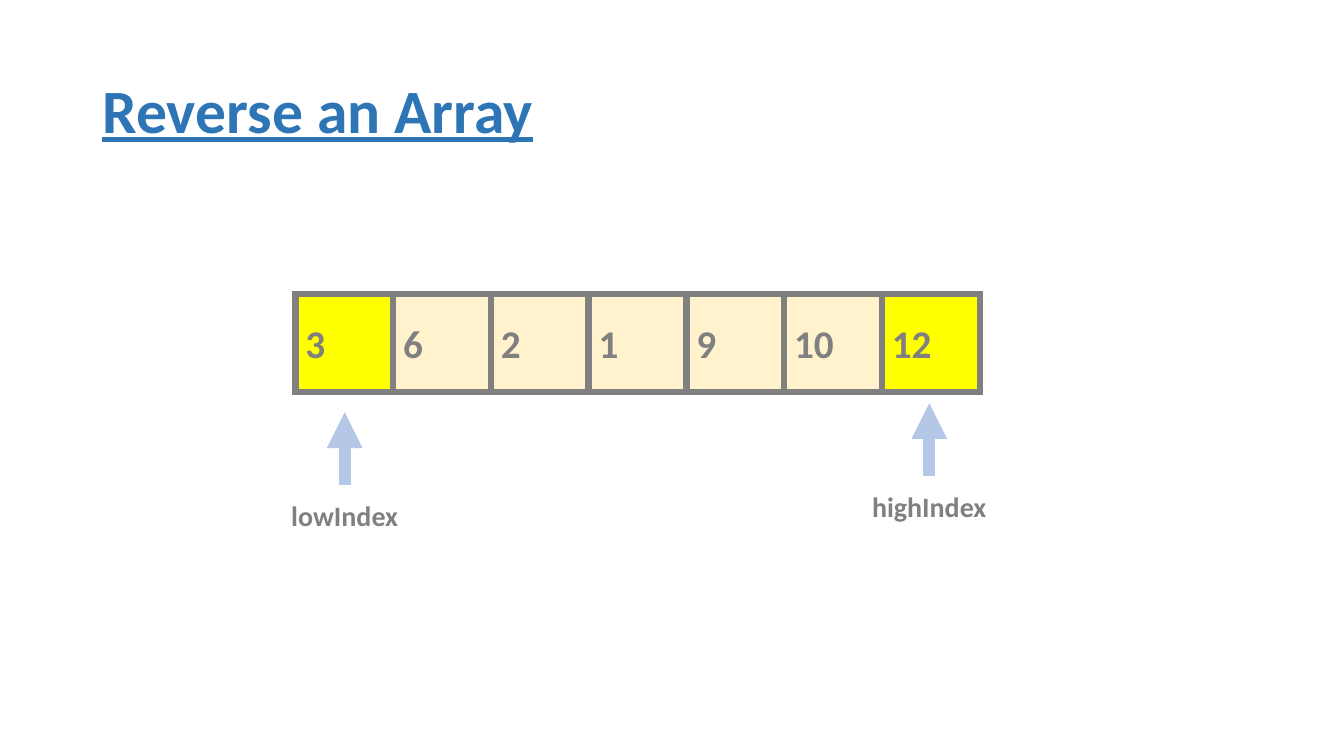
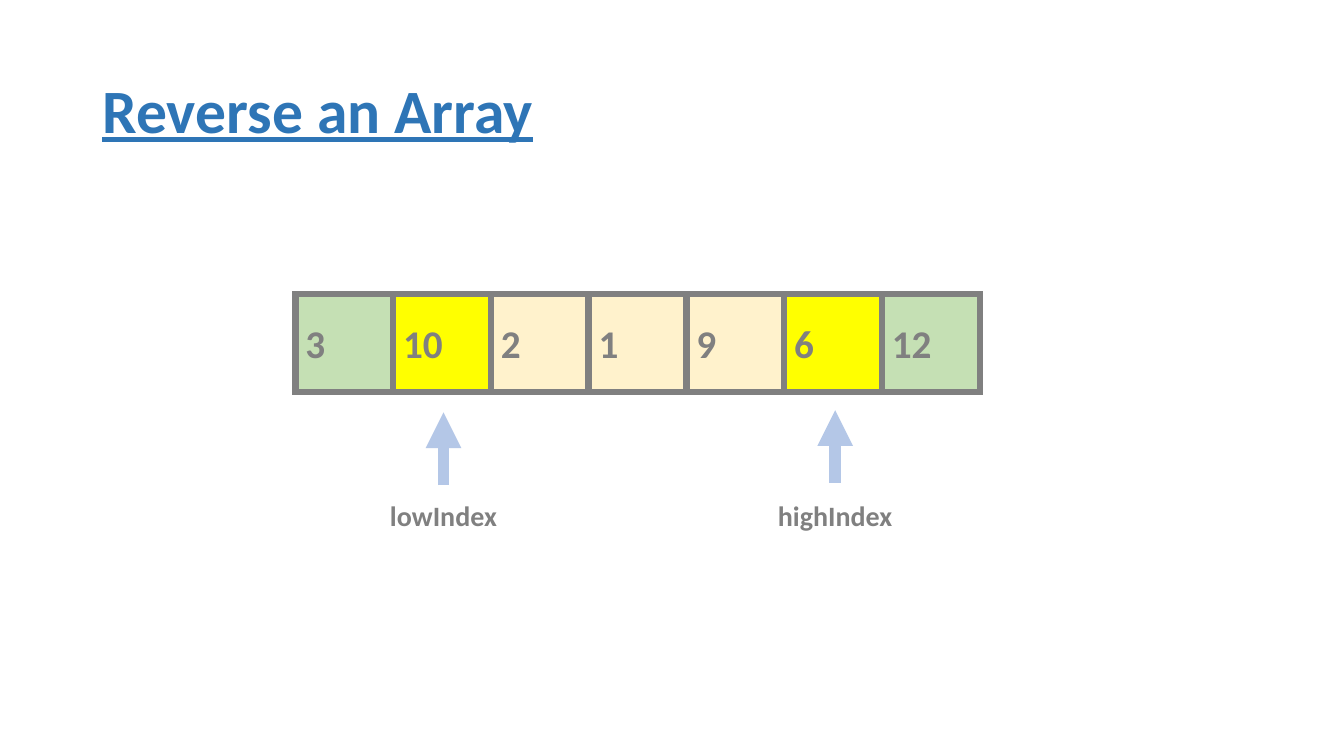
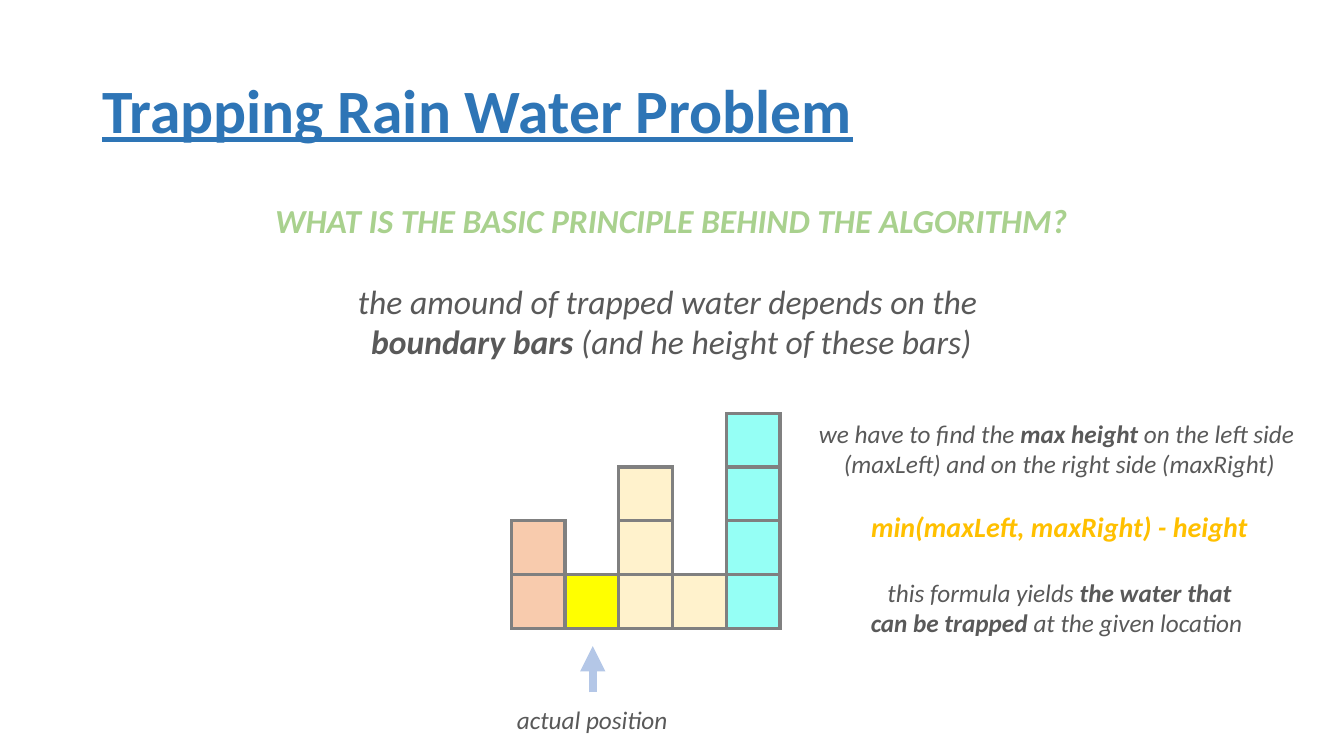
"""Array reversal and trapped rain water slides."""
from lxml import etree
from pptx import Presentation
from pptx.dml.color import RGBColor
from pptx.enum import shapes, text
from pptx.oxml.ns import qn
from pptx.util import Pt

FONT = "Calibri"
BLUE = RGBColor(0x2E, 0x75, 0xB6)
PALE_BLUE = RGBColor(0xB4, 0xC7, 0xE7)
GRAY = RGBColor(0x80, 0x80, 0x80)
DARK_GRAY = RGBColor(0x59, 0x59, 0x59)
YELLOW = RGBColor(0xFF, 0xFF, 0x00)
CREAM = RGBColor(0xFF, 0xF2, 0xCC)
PALE_GREEN = RGBColor(0xC5, 0xE0, 0xB4)
GREEN = RGBColor(0xA9, 0xD1, 0x8E)
PEACH = RGBColor(0xF8, 0xCB, 0xAD)
AQUA = RGBColor(0x95, 0xFF, 0xF5)
GOLD = RGBColor(0xFF, 0xC0, 0x00)

ARRAY_LEFT, ARRAY_TOP, ARRAY_CELL = 211, 210.24, 69.84
BARS_LEFT, BARS_BOTTOM, BAR_CELL = 365.2, 448.8, 38.4


def set_font(font, size, color, bold=None, italic=None):
    font.name = FONT
    font.size = Pt(size)
    font.color.rgb = color
    font.bold = bold
    font.italic = italic


def add_line_detail(shape, tag, **attributes):
    line = shape._element.spPr.find(qn("a:ln"))
    etree.SubElement(line, qn(tag), attributes)


def set_up_title_layout(presentation):
    layout = presentation.slide_layouts[5]
    title = layout.placeholders[0]
    title.left, title.top = Pt(66), Pt(28.8)
    title.width, title.height = Pt(828), Pt(104.4)
    return layout


def add_titled_slide(presentation, layout, title):
    slide = presentation.slides.add_slide(layout)
    slide.shapes.title.text_frame.text = title
    paragraph = slide.shapes.title.text_frame.paragraphs[0]
    paragraph.alignment = text.PP_ALIGN.LEFT
    paragraph.line_spacing = 0.9
    set_font(paragraph.font, 44, BLUE, bold=True)
    paragraph.font.underline = True
    return slide


def add_cell(slide, left, top, size, fill, border, value=None):
    cell = slide.shapes.add_shape(
        shapes.MSO_SHAPE.RECTANGLE, Pt(left), Pt(top), Pt(size), Pt(size))
    cell.shadow.inherit = False
    cell.fill.solid()
    cell.fill.fore_color.rgb = fill
    cell.line.color.rgb = GRAY
    cell.line.width = Pt(border)
    add_line_detail(cell, "a:miter", lim="800000")
    if value is not None:
        cell.text_frame.text = str(value)
        set_font(cell.text_frame.paragraphs[0].font, 28, GRAY, bold=True)


def add_array(slide, values, fills):
    for index, value in enumerate(values):
        add_cell(slide, ARRAY_LEFT + index * ARRAY_CELL, ARRAY_TOP, ARRAY_CELL,
                 fills.get(index, CREAM), 4.5, value)


def add_bars(slide, bars):
    for column, (height, fill) in enumerate(bars):
        for level in range(1, height + 1):
            add_cell(slide, BARS_LEFT + column * BAR_CELL,
                     BARS_BOTTOM - level * BAR_CELL, BAR_CELL, fill, 2.25)


def add_text(slide, left, top, width, height, paragraphs, wrap=False):
    """Add centred paragraphs given as (size, color, italic, gap, runs)."""
    box = slide.shapes.add_textbox(Pt(left), Pt(top), Pt(width), Pt(height))
    frame = box.text_frame
    frame.word_wrap = wrap
    for number, (size, color, italic, gap, runs) in enumerate(paragraphs):
        paragraph = frame.add_paragraph() if number else frame.paragraphs[0]
        paragraph.alignment = text.PP_ALIGN.CENTER
        paragraph.space_before = Pt(gap)
        set_font(paragraph.font, size, color, italic=italic)
        for words, bold in runs:
            run = paragraph.add_run()
            run.text = words
            run.font.bold = bold


def add_arrow(slide, center, tip, length, weight):
    arrow = slide.shapes.add_connector(
        shapes.MSO_CONNECTOR.STRAIGHT,
        Pt(center), Pt(tip + length), Pt(center), Pt(tip))
    arrow.line.color.rgb = PALE_BLUE
    arrow.line.width = Pt(weight)
    add_line_detail(arrow, "a:tailEnd", type="triangle")
    etree.SubElement(arrow._element.spPr, qn("a:effectLst"))


def add_index_pointer(slide, name, center, tip, label_top):
    add_arrow(slide, center, tip, 52, 8.5)
    add_text(slide, center - 50, label_top, 100, 31.5,
             [(20, GRAY, False, 0, [(name, True)])])


def add_explanation(slide):
    add_text(slide, 77, 139, 805, 181.5, [
        (24, GREEN, True, 0,
         [("WHAT IS THE BASIC PRINCIPLE BEHIND THE ALGORITHM?", True)]),
        (24, DARK_GRAY, True, 29.3,
         [("the amound of trapped water depends on the ", False)]),
        (24, DARK_GRAY, True, 0,
         [("boundary bars ", True), ("(and he height of these bars)", False)]),
    ], wrap=True)


def add_formula_notes(slide):
    add_text(slide, 575.3, 295.2, 362.9, 191.5, [
        (18, DARK_GRAY, True, 0,
         [("we have to find the", False), (" max height", True),
          (" on the left side ", False)]),
        (18, DARK_GRAY, True, 0,
         [("(maxLeft) and on the right side (maxRight)", False)]),
        (20, GOLD, True, 22, [("min(maxLeft, maxRight) - height", True)]),
        (18, DARK_GRAY, True, 24.4,
         [("this formula yields ", False), ("the water that", True)]),
        (18, DARK_GRAY, True, 0,
         [("can be trapped ", True), ("at the given location ", False)]),
    ])


def main():
    presentation = Presentation()
    presentation.slide_width, presentation.slide_height = Pt(960), Pt(540)
    layout = set_up_title_layout(presentation)

    slide = add_titled_slide(presentation, layout, "Reverse an Array")
    add_array(slide, [3, 6, 2, 1, 9, 10, 12], {0: YELLOW, 6: YELLOW})
    add_index_pointer(slide, "lowIndex", 246.2, 294.5, 352.8)
    add_index_pointer(slide, "highIndex", 663.8, 288, 346.3)

    slide = add_titled_slide(presentation, layout, "Reverse an Array")
    add_array(slide, [3, 10, 2, 1, 9, 6, 12],
              {0: PALE_GREEN, 1: YELLOW, 5: YELLOW, 6: PALE_GREEN})
    add_index_pointer(slide, "lowIndex", 316.8, 294.5, 352.8)
    add_index_pointer(slide, "highIndex", 596.6, 293, 352.8)

    slide = add_titled_slide(presentation, layout, "Trapping Rain Water Problem")
    add_explanation(slide)
    add_bars(slide, [(2, PEACH), (1, YELLOW), (3, CREAM), (1, CREAM), (4, AQUA)])
    add_arrow(slide, 423.4, 461.5, 33, 6)
    add_formula_notes(slide)
    add_text(slide, 361.5, 499.7, 123, 29,
             [(18, DARK_GRAY, True, 0, [("actual position", False)])])

    presentation.save("out.pptx")


if __name__ == "__main__":
    main()
